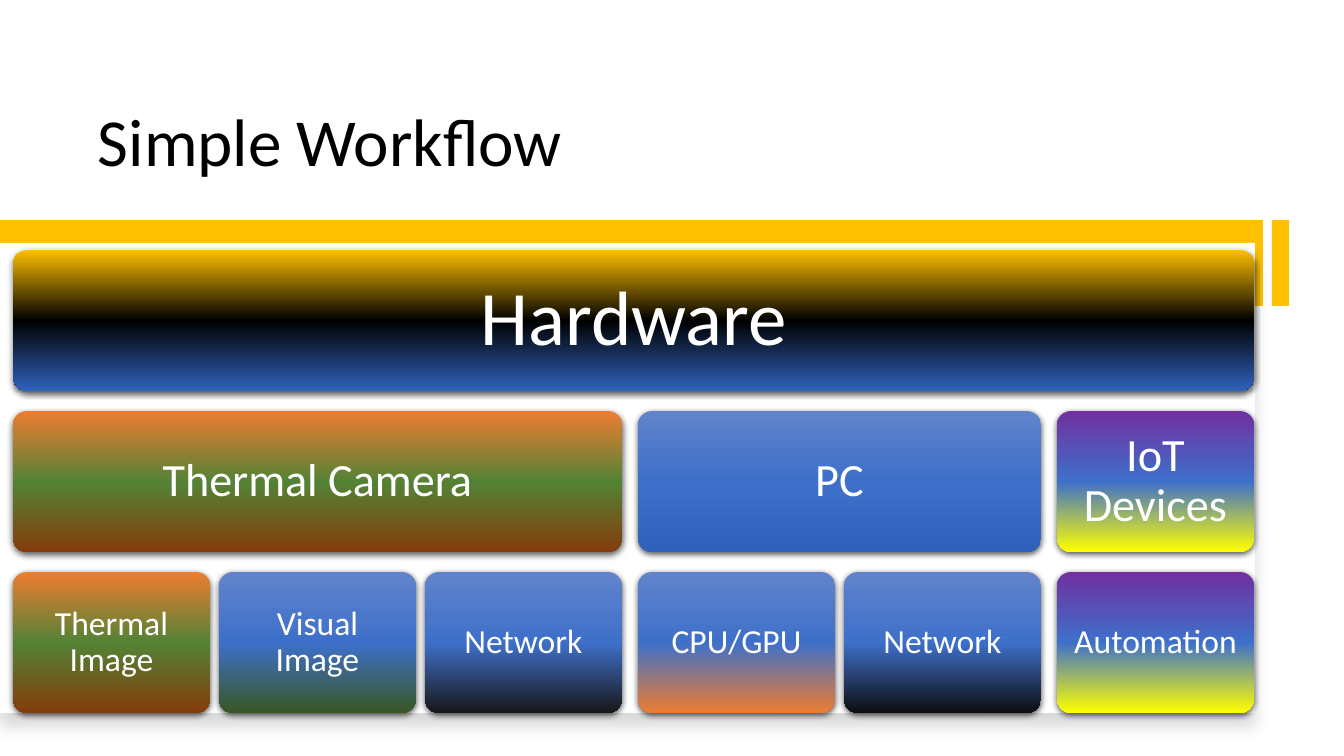
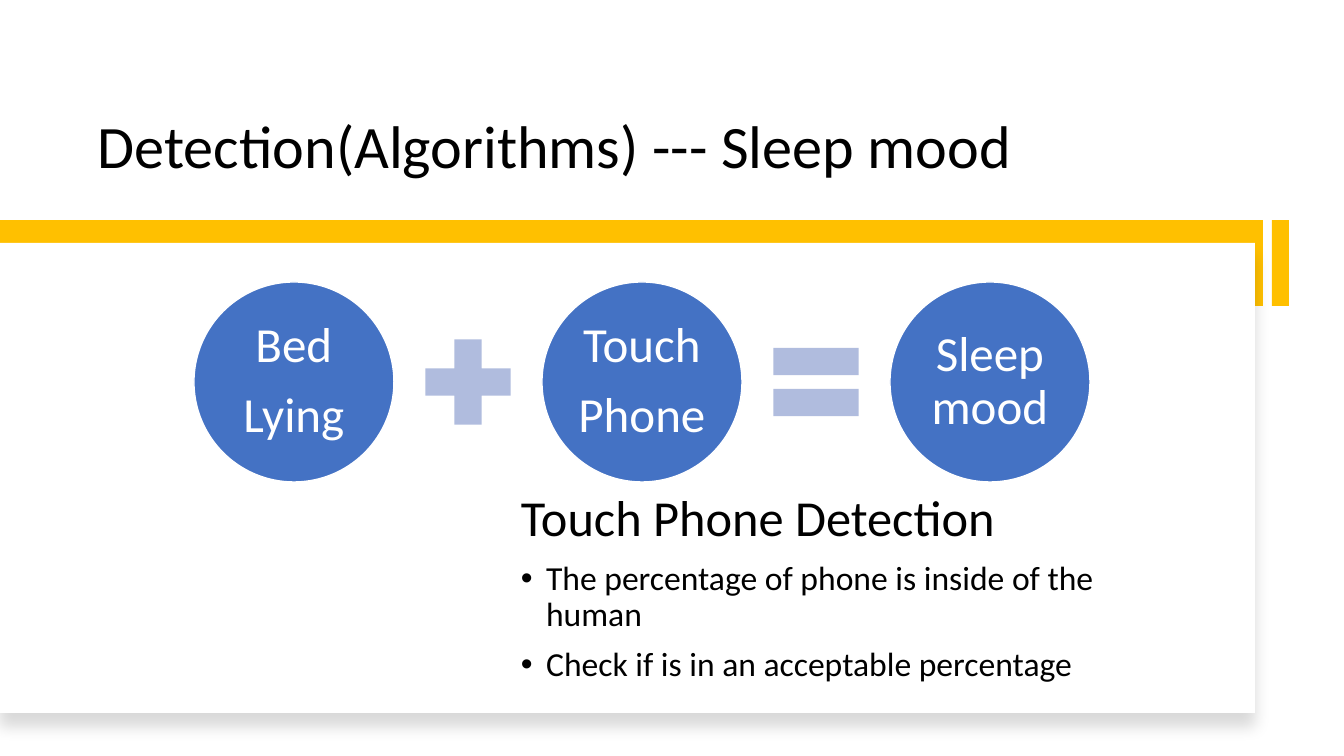
from copy import deepcopy
from lxml import etree
from pptx import Presentation
from pptx import util as u
from pptx.dml.color import RGBColor
from pptx.enum import shapes, text
from pptx.oxml.ns import qn

# Content
FONT = "Calibri"
BLACK, WHITE, GOLD, BLUE, PALE = "000000", "FFFFFF", "FFC000", "4472C4", "B0BCDE"

THERMAL = ("ED7D31", "548235", "843C0B")
IOT = ("7030A0", "3E70CA", "FFFF00")


def blue_to(end):
    return ("6183CB", "3E70CA", end)


WORKFLOW_TITLE = ("Simple Workflow", 48)
HARDWARE = ("Hardware", (GOLD, BLACK, "3062BB"))
DEVICES = [
    ("Thermal Camera", THERMAL, [
        ("Thermal Image", THERMAL),
        ("Visual Image", blue_to("385723")),
        ("Network", blue_to("181717")),
    ]),
    ("PC", blue_to("3062BB"), [
        ("CPU/GPU", blue_to("ED7D31")),
        ("Network", blue_to("0D0D0D")),
    ]),
    ("IoT Devices", IOT, [("Automation", IOT)]),
]
LEVELS = [(55, 23), (33, 14), (24, 9)]  # text size in pt, inset in px

SLEEP_TITLE = ("Detection(Algorithms) --- Sleep mood", 43)
EQUATION = ["Bed\nLying", "+", "Touch\nPhone", "=", "Sleep mood"]
OPERATORS = {"+": shapes.MSO_SHAPE.MATH_PLUS, "=": shapes.MSO_SHAPE.MATH_EQUAL}
DETECTION = "Touch Phone Detection"
CHECKS = ["The percentage of phone is inside of the human",
          "Check if is in an acceptable percentage"]

# Layout in px
SLIDE_W, SLIDE_H = 1344, 756
TITLE_BOX = (88, 43, 1110, 143)
GOLD_BARS = [(0, 220, 1263, 86), (1272, 220, 17, 86)]
PANEL = (0, 243, 1255, 470)
TREE_LEFT, TREE_TOP = 13, 250
BOX_W, BOX_H, BOX_GAP, GROUP_GAP, ROW_STEP = 197, 141, 9, 16, 161
CIRCLE, OPERATOR, EQUATION_GAP = 200, 116, 16
EQUATION_LEFT, EQUATION_TOP = 194, 282
DETECTION_BOX = (511, 488, 598, 225)


# Helpers
def px(n):
    return u.Emu(round(n * 914400 / 100.8))


def color(hex_code):
    return RGBColor.from_string(hex_code)


def add_shadow(shape, alpha, blur, distance):
    effects = shape._element.spPr.find(qn("a:effectLst"))
    outer = etree.SubElement(effects, qn("a:outerShdw"), blurRad=str(u.Pt(blur)),
                             dist=str(u.Pt(distance)), dir="5400000",
                             algn="ctr", rotWithShape="0")
    black = etree.SubElement(outer, qn("a:srgbClr"), val=BLACK)
    etree.SubElement(black, qn("a:alpha"), val=str(alpha * 1000))


def add_shape(slide, kind, box, fill, line=None):
    shape = slide.shapes.add_shape(kind, *map(px, box))
    shape.shadow.inherit = False
    if isinstance(fill, str):
        shape.fill.solid()
        shape.fill.fore_color.rgb = color(fill)
    else:
        shape.fill.gradient()
        stops = shape._element.spPr.find(".//" + qn("a:gsLst"))
        stops.insert(1, deepcopy(stops[0]))
        for i, (stop, shade) in enumerate(zip(shape.fill.gradient_stops, fill)):
            stop.position = i / 2
            stop.color.rgb = color(shade)
        shape.fill.gradient_angle = 270
    if line:
        shape.line.color.rgb = color(line)
        shape.line.width = u.Pt(1)
    else:
        shape.line.fill.background()
    return shape


def style(paragraph, size, ink, align=text.PP_ALIGN.LEFT):
    paragraph.alignment = align
    paragraph.line_spacing = 0.9
    for run in paragraph.runs:
        run.font.name = FONT
        run.font.size = u.Pt(size)
        run.font.color.rgb = color(ink)


def add_label(shape, words, size, inset):
    frame = shape.text_frame
    frame.text = words
    frame.word_wrap = True
    frame.vertical_anchor = text.MSO_ANCHOR.MIDDLE
    frame.margin_left = frame.margin_right = px(inset)
    frame.margin_top = frame.margin_bottom = px(inset)
    for paragraph in frame.paragraphs:
        style(paragraph, size, WHITE, text.PP_ALIGN.CENTER)
    for paragraph in frame.paragraphs[1:]:
        paragraph.space_before = u.Pt(size * 0.35)


def add_text_box(slide, box):
    frame = slide.shapes.add_textbox(*map(px, box)).text_frame
    frame.word_wrap = True
    return frame


def add_bullet(paragraph):
    props = paragraph._p.get_or_add_pPr()
    props.set("marL", str(u.Inches(0.25)))
    props.set("indent", str(-u.Inches(0.25)))
    etree.SubElement(props, qn("a:buFont"), typeface="Arial")
    etree.SubElement(props, qn("a:buChar"), char="•")


# Shared title, gold bars and white panel
def add_base(prs, title, size):
    slide = prs.slides.add_slide(prs.slide_layouts[6])
    frame = add_text_box(slide, TITLE_BOX)
    frame.text = title
    frame.vertical_anchor = text.MSO_ANCHOR.BOTTOM
    style(frame.paragraphs[0], size, BLACK)
    for bar in GOLD_BARS:
        add_shape(slide, shapes.MSO_SHAPE.RECTANGLE, bar, GOLD)
    panel = add_shape(slide, shapes.MSO_SHAPE.RECTANGLE, PANEL, WHITE)
    add_shadow(panel, 15, 11, 10)
    return slide


# Hardware tree
def add_node(slide, level, left, width, words, shades):
    box = (left, TREE_TOP + level * ROW_STEP, width, BOX_H)
    node = add_shape(slide, shapes.MSO_SHAPE.ROUNDED_RECTANGLE, box, shades)
    node.adjustments[0] = 0.1
    add_shadow(node, 63, 4.5, 1.5)
    add_label(node, words, *LEVELS[level])


def build_workflow(prs):
    slide = add_base(prs, *WORKFLOW_TITLE)
    widths = [len(parts) * (BOX_W + BOX_GAP) - BOX_GAP for _, _, parts in DEVICES]
    total = sum(widths) + GROUP_GAP * (len(widths) - 1)
    add_node(slide, 0, TREE_LEFT, total, *HARDWARE)
    left = TREE_LEFT
    for (device, shades, parts), width in zip(DEVICES, widths):
        add_node(slide, 1, left, width, device, shades)
        for i, part in enumerate(parts):
            add_node(slide, 2, left + i * (BOX_W + BOX_GAP), BOX_W, *part)
        left += width + GROUP_GAP


# Sleep equation and its detection rule
def build_sleep(prs):
    slide = add_base(prs, *SLEEP_TITLE)
    frame = add_text_box(slide, DETECTION_BOX)
    frame.text = "\n".join([DETECTION] + CHECKS)
    heading, *checks = frame.paragraphs
    style(heading, 36, BLACK)
    for check in checks:
        style(check, 24, BLACK)
        check.space_before = u.Pt(10)
        add_bullet(check)

    left = EQUATION_LEFT
    for term in EQUATION:
        size = OPERATOR if term in OPERATORS else CIRCLE
        box = (left, EQUATION_TOP + (CIRCLE - size) / 2, size, size)
        if term in OPERATORS:
            add_shape(slide, OPERATORS[term], box, PALE)
        else:
            circle = add_shape(slide, shapes.MSO_SHAPE.OVAL, box, BLUE, WHITE)
            add_label(circle, term, 35, 5)
        left += size + EQUATION_GAP


def main():
    prs = Presentation()
    prs.slide_width, prs.slide_height = px(SLIDE_W), px(SLIDE_H)
    build_workflow(prs)
    build_sleep(prs)
    prs.save("out.pptx")


if __name__ == "__main__":
    main()
